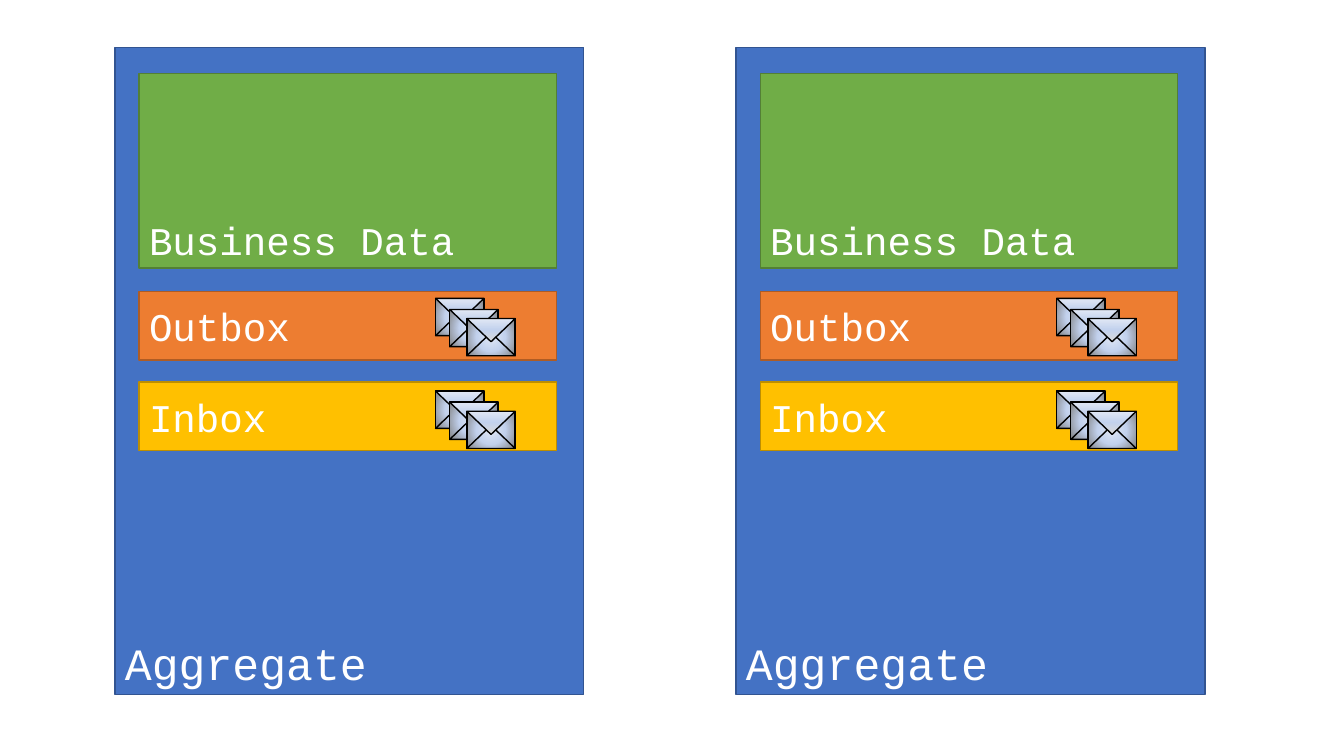
from dataclasses import dataclass

from lxml.etree import SubElement
from pptx import Presentation
from pptx.dml.color import RGBColor
from pptx.enum.shapes import MSO_SHAPE
from pptx.enum.text import MSO_ANCHOR, PP_ALIGN
from pptx.oxml.ns import qn
from pptx.util import Inches, Pt


@dataclass(frozen=True)
class Theme:
    font: str = "Courier New"
    text: str = "FFFFFF"
    title_size: int = 32
    label_size: int = 28
    blue: tuple = ("4472C4", "325491")
    green: tuple = ("70AD47", "538035")
    orange: tuple = ("ED7D31", "AF5C24")
    yellow: tuple = ("FFC000", "BD8E00")
    ink: str = "000000"
    paper: tuple = ((0, "E1E8F5"), (48, "C2D1ED"), (100, "808080"))
    flap: tuple = ((0, "E1E8F5"), (48, "C2D1ED"), (100, "D9D9D9"))


theme = Theme()

# Content: label, top, height, (fill, line), anchor, top of mail pile
AGGREGATE = "Aggregate"
SECTIONS = [
    ("Business Data", 0.73, 1.93, theme.green, MSO_ANCHOR.BOTTOM, None),
    ("Outbox", 2.89, 0.68, theme.orange, MSO_ANCHOR.MIDDLE, 2.96),
    ("Inbox", 3.79, 0.68, theme.yellow, MSO_ANCHOR.MIDDLE, 3.88),
]

# Layout in inches
AGGREGATE_LEFTS = [1.14, 7.3]
AGGREGATE_TOP, AGGREGATE_WIDTH, AGGREGATE_HEIGHT = 0.47, 4.65, 6.42
SECTION_INDENT, SECTION_WIDTH = 0.24, 4.14
MAIL_INDENT = 3.18
MAIL_STEPS = [(0, 0), (0.14, 0.11), (0.31, 0.2)]
MAIL_WIDTH, MAIL_HEIGHT, FLAP_HEIGHT = 0.48, 0.37, 0.23


def add_outlined(shapes, kind, left, top, width, height, line):
    shape = shapes.add_shape(
        kind, Inches(left), Inches(top), Inches(width), Inches(height))
    shape.shadow.inherit = False
    shape.fill.background()
    shape.line.color.rgb = RGBColor.from_string(line)
    shape.line.width = Pt(1)
    return shape


def add_label_box(shapes, label, left, top, width, height, colours, anchor, size):
    fill, line = colours
    box = add_outlined(shapes, MSO_SHAPE.RECTANGLE, left, top, width, height, line)
    box.fill.solid()
    box.fill.fore_color.rgb = RGBColor.from_string(fill)
    frame = box.text_frame
    frame.word_wrap = True
    frame.vertical_anchor = anchor
    para = frame.paragraphs[0]
    para.alignment = PP_ALIGN.LEFT
    span = para.add_run()
    span.text = label
    span.font.name = theme.font
    span.font.size = Pt(size)
    span.font.color.rgb = RGBColor.from_string(theme.text)


def set_gradient(shape, stops, angle=None):
    """Fill along an angle, or from the centre outwards without one."""
    properties = shape.fill._xPr
    gradient = properties.get_or_change_to_gradFill()
    for child in list(gradient):
        gradient.remove(child)
    gradient.set("rotWithShape", "1")
    stop_list = SubElement(gradient, qn("a:gsLst"))
    for position, colour in stops:
        stop = SubElement(stop_list, qn("a:gs"), pos=str(position * 1000))
        SubElement(stop, qn("a:srgbClr"), val=colour)
    if angle is None:
        circle = SubElement(gradient, qn("a:path"))
        circle.set("path", "circle")
        SubElement(circle, qn("a:fillToRect"),
                   l="50000", t="50000", r="50000", b="50000")
    else:
        SubElement(gradient, qn("a:lin"), ang=str(angle * 60000), scaled="0")


def add_envelope(shapes, left, top):
    paper = add_outlined(shapes, MSO_SHAPE.RECTANGLE, left, top,
                         MAIL_WIDTH, MAIL_HEIGHT, theme.ink)
    set_gradient(paper, theme.paper)
    add_outlined(shapes, MSO_SHAPE.ISOSCELES_TRIANGLE, left,
                 top + MAIL_HEIGHT - FLAP_HEIGHT, MAIL_WIDTH, FLAP_HEIGHT, theme.ink)
    flap = add_outlined(shapes, MSO_SHAPE.ISOSCELES_TRIANGLE, left, top,
                        MAIL_WIDTH, FLAP_HEIGHT, theme.ink)
    flap.rotation = 180
    set_gradient(flap, theme.flap, angle=270)


def add_aggregate(page, left):
    add_label_box(page.shapes, AGGREGATE, left, AGGREGATE_TOP, AGGREGATE_WIDTH,
                  AGGREGATE_HEIGHT, theme.blue, MSO_ANCHOR.BOTTOM, theme.title_size)
    for label, top, height, colours, anchor, _ in SECTIONS:
        add_label_box(page.shapes, label, left + SECTION_INDENT, top, SECTION_WIDTH,
                      height, colours, anchor, theme.label_size)
    # Mail piles, one group each
    for *_, mail_top in SECTIONS:
        if mail_top is not None:
            pile = page.shapes.add_group_shape()
            for across, down in MAIL_STEPS:
                add_envelope(pile.shapes, left + MAIL_INDENT + across, mail_top + down)


def main():
    deck = Presentation()
    deck.slide_width, deck.slide_height = Inches(13.33), Inches(7.5)
    page = deck.slides.add_slide(deck.slide_layouts[6])
    for left in AGGREGATE_LEFTS:
        add_aggregate(page, left)
    deck.save("out.pptx")


if __name__ == "__main__":
    main()
